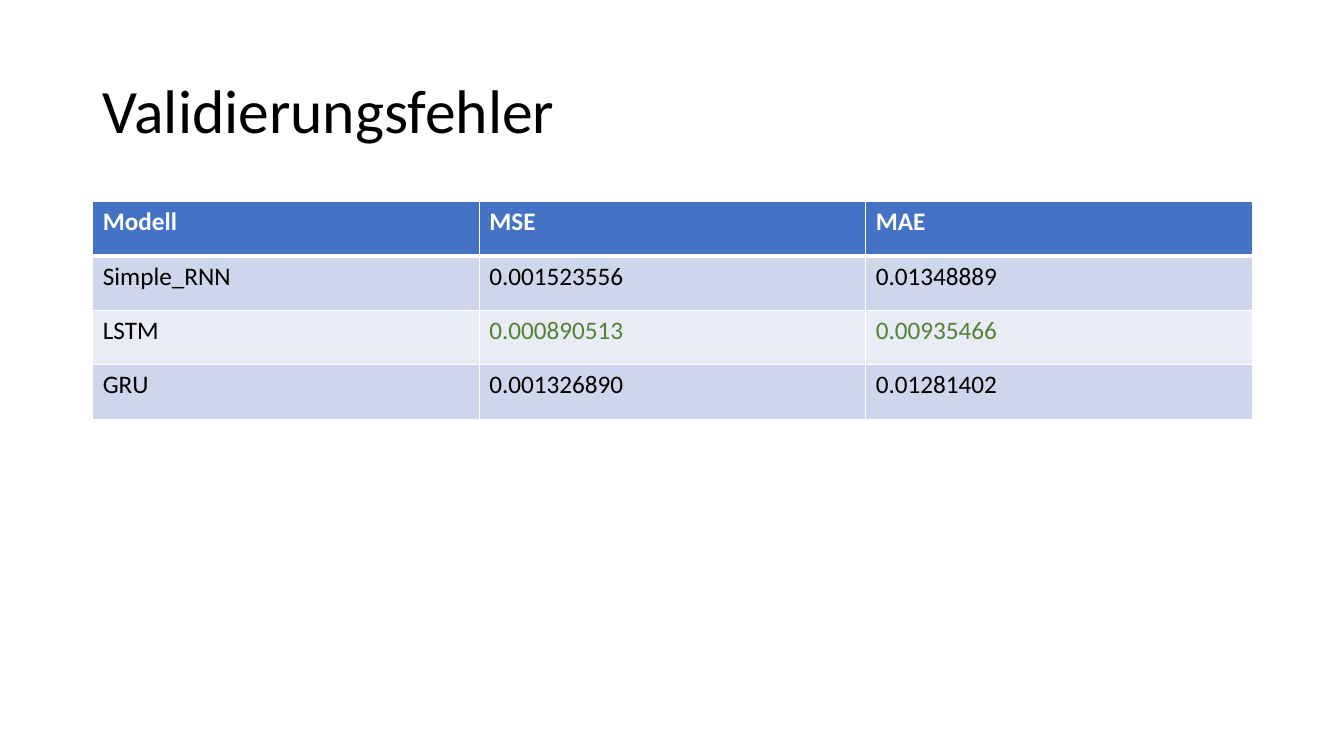
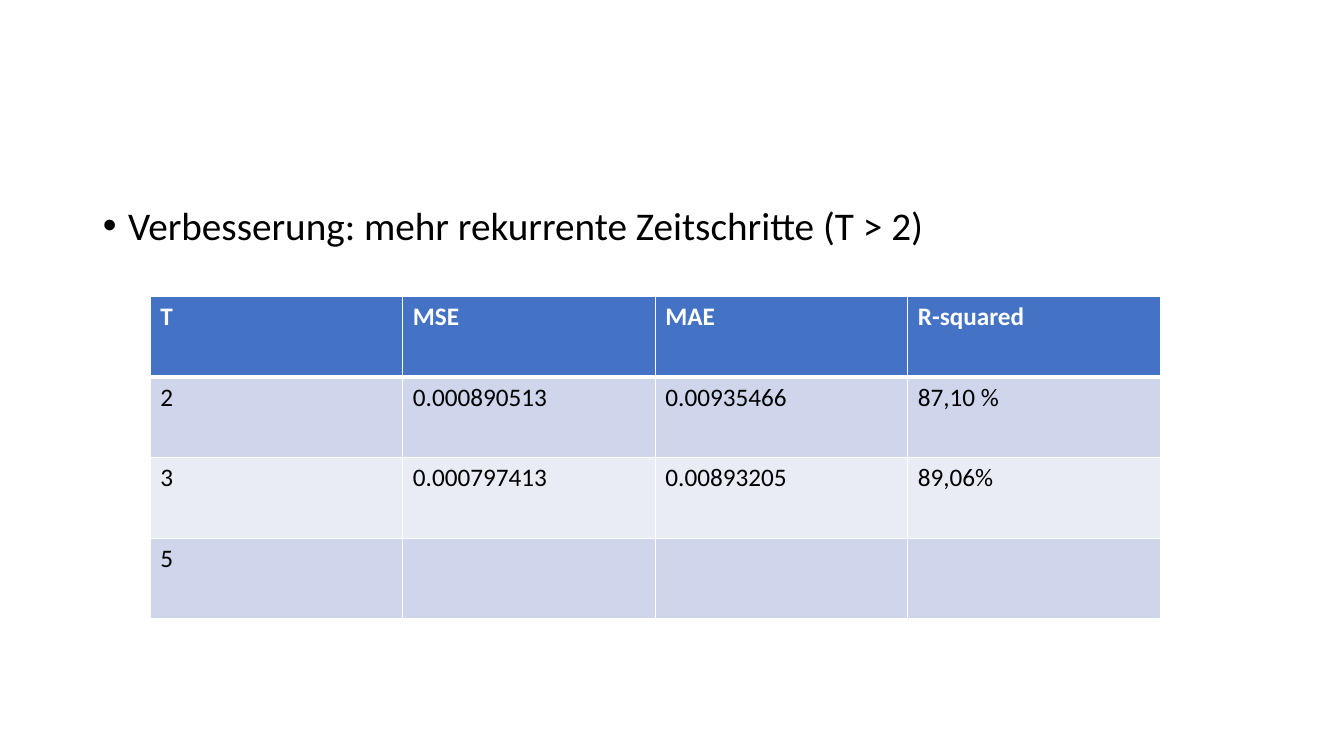
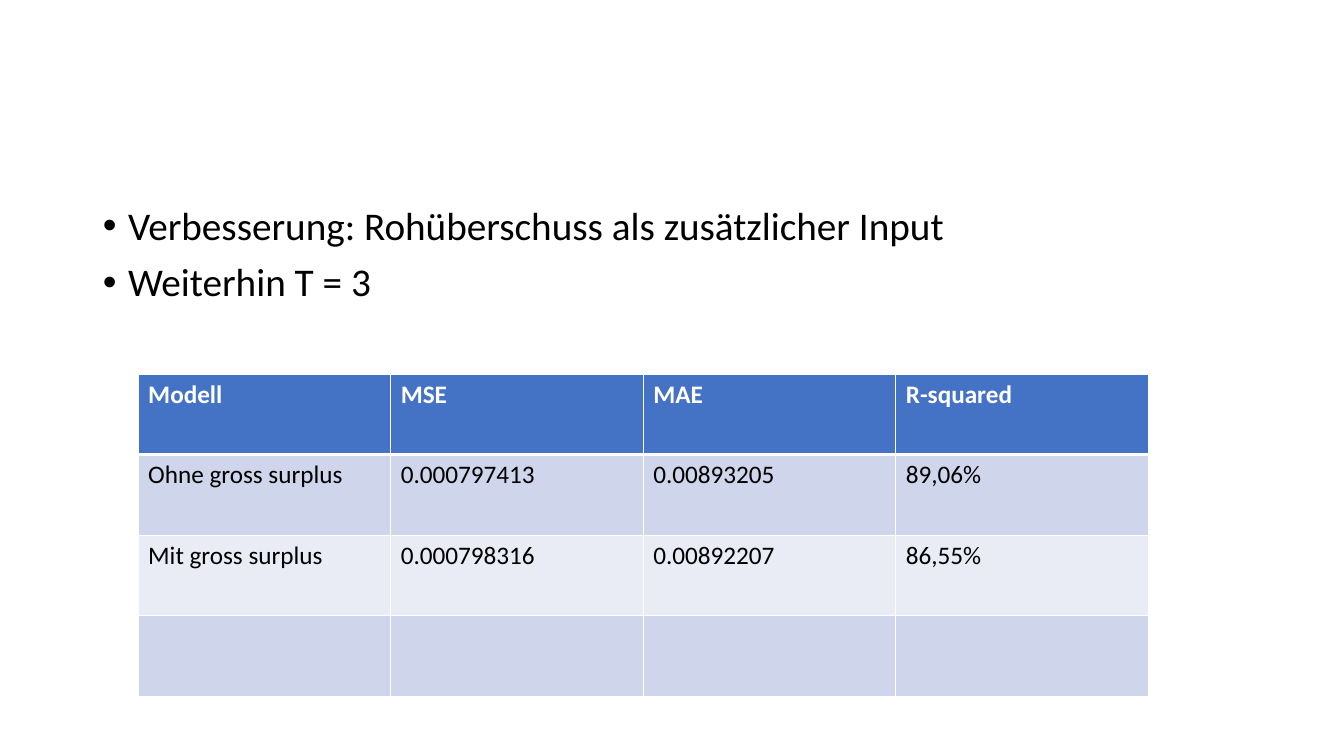
"""Build three slides that compare the validation errors of recurrent models."""
from dataclasses import dataclass

from lxml import etree
from pptx import Presentation
from pptx.dml.color import RGBColor
from pptx.enum.text import MSO_ANCHOR, MSO_AUTO_SIZE, PP_ALIGN
from pptx.oxml.ns import qn
from pptx.util import Inches, Pt

LEFT = PP_ALIGN.LEFT
MIDDLE, TOP = MSO_ANCHOR.MIDDLE, MSO_ANCHOR.TOP
NO_AUTOFIT = MSO_AUTO_SIZE.NONE

FONT = "Calibri"
COLORS = {
    "text": "000000",
    "header_text": "FFFFFF",
    "best": "548235",
    "header": "4472C4",
    "odd_row": "CFD5EA",
    "even_row": "E9EBF5",
    "border": "FFFFFF",
}
TITLE_BOX = (0.92, 0.4, 11.5, 1.45)
BODY_BOX = (0.92, 2, 11.5, 4.76)
TITLE_ONLY, TITLE_AND_CONTENT = 5, 1


@dataclass(frozen=True)
class ErrorTable:
    """Rows of error measures, their place and the row with the best values."""
    left: float
    top: float
    width: float
    row_height: float
    rows: tuple[tuple[str, ...], ...]
    best_row: int | None = None


@dataclass(frozen=True)
class ResultSlide:
    """One slide with a title or bullets above a table."""
    errors: ErrorTable
    title: str = ""
    bullets: tuple[str, ...] = ()


SLIDES = (
    ResultSlide(
        title="Validierungsfehler",
        errors=ErrorTable(0.92, 2, 11.5, 0.54, (
            ("Modell", "MSE", "MAE"),
            ("Simple_RNN", "0.001523556", "0.01348889"),
            ("LSTM", "0.000890513", "0.00935466"),
            ("GRU", "0.001326890", "0.01281402"),
        ), best_row=2),
    ),
    ResultSlide(
        bullets=("Verbesserung: mehr rekurrente Zeitschritte (T > 2)",),
        errors=ErrorTable(1.49, 2.94, 10.02, 0.8, (
            ("T", "MSE", "MAE", "R-squared"),
            ("2", "0.000890513", "0.00935466", "87,10 %"),
            ("3", "0.000797413", "0.00893205", "89,06%"),
            ("5", "", "", ""),
        )),
    ),
    ResultSlide(
        bullets=("Verbesserung: Rohüberschuss als zusätzlicher Input", "Weiterhin T = 3"),
        errors=ErrorTable(1.37, 3.71, 10.02, 0.8, (
            ("Modell", "MSE", "MAE", "R-squared"),
            ("Ohne gross surplus", "0.000797413", "0.00893205", "89,06%"),
            ("Mit gross surplus", "0.000798316", "0.00892207", "86,55%"),
            ("", "", "", ""),
        )),
    ),
)


def rgb(name: str) -> RGBColor:
    """Return a palette colour."""
    return RGBColor.from_string(COLORS[name])


def style_paragraph(paragraph, size: int, color: str, bold: bool = False) -> None:
    """Give a paragraph the common font and left alignment."""
    paragraph.alignment = LEFT
    paragraph.font.name = FONT
    paragraph.font.size = Pt(size)
    paragraph.font.bold = bold
    paragraph.font.color.rgb = rgb(color)


def place_text(placeholder, box: tuple[float, ...], anchor: MSO_ANCHOR, text: str):
    """Move a placeholder, fill it and return its text frame."""
    placeholder.left, placeholder.top, placeholder.width, placeholder.height = map(Inches, box)
    frame = placeholder.text_frame
    frame.text = text
    frame.word_wrap = True
    frame.auto_size = NO_AUTOFIT
    frame.vertical_anchor = anchor
    return frame


def add_title(slide, title: str) -> None:
    """Write the slide title."""
    heading = place_text(slide.shapes.title, TITLE_BOX, MIDDLE, title).paragraphs[0]
    heading.line_spacing = 0.9
    style_paragraph(heading, 44, "text")


def add_bullets(slide, bullets: tuple[str, ...]) -> None:
    """Write the bullet list."""
    frame = place_text(slide.placeholders[1], BODY_BOX, TOP, "\n".join(bullets))
    for point in frame.paragraphs:
        point.line_spacing = 0.9
        point.space_before = Pt(10)
        properties = point._p.get_or_add_pPr()
        properties.set("marL", str(Inches(0.25)))
        properties.set("indent", str(-Inches(0.25)))
        etree.SubElement(properties, qn("a:buFont"), typeface="Arial")
        etree.SubElement(properties, qn("a:buChar"), char="•")
        style_paragraph(point, 28, "text")


def add_borders(cell, row: int) -> None:
    """Draw white cell borders, with a thick rule under the header."""
    widths = {"L": 1, "R": 1, "T": 3 if row == 1 else 1, "B": 3 if row == 0 else 1}
    properties = cell._tc.get_or_add_tcPr()
    for side, width in widths.items():
        line = etree.SubElement(properties, qn(f"a:ln{side}"), w=str(Pt(width)))
        fill = etree.SubElement(line, qn("a:solidFill"))
        etree.SubElement(fill, qn("a:srgbClr"), val=COLORS["border"])


def add_errors(slide, errors: ErrorTable) -> None:
    """Draw a table of error measures."""
    row_count, column_count = len(errors.rows), len(errors.rows[0])
    table = slide.shapes.add_table(
        row_count, column_count, Inches(errors.left), Inches(errors.top),
        Inches(errors.width), Inches(errors.row_height * row_count)).table
    for row, values in enumerate(errors.rows):
        header = row == 0
        band = "header" if header else "odd_row" if row % 2 else "even_row"
        for column, value in enumerate(values):
            cell = table.cell(row, column)
            cell.text = value
            best = row == errors.best_row and column > 0
            color = "header_text" if header else "best" if best else "text"
            style_paragraph(cell.text_frame.paragraphs[0], 18, color, header)
            add_borders(cell, row)
            cell.fill.solid()
            cell.fill.fore_color.rgb = rgb(band)


def add_result_slide(deck, content: ResultSlide) -> None:
    """Add one slide with its text and table."""
    layout = TITLE_AND_CONTENT if content.bullets else TITLE_ONLY
    slide = deck.slides.add_slide(deck.slide_layouts[layout])
    if content.title:
        add_title(slide, content.title)
    else:
        heading = slide.shapes.title.element
        heading.getparent().remove(heading)
    if content.bullets:
        add_bullets(slide, content.bullets)
    add_errors(slide, content.errors)


def main() -> None:
    """Build and save the presentation."""
    deck = Presentation()
    deck.slide_width, deck.slide_height = Inches(13.33), Inches(7.5)
    for content in SLIDES:
        add_result_slide(deck, content)
    deck.save("out.pptx")


main()
